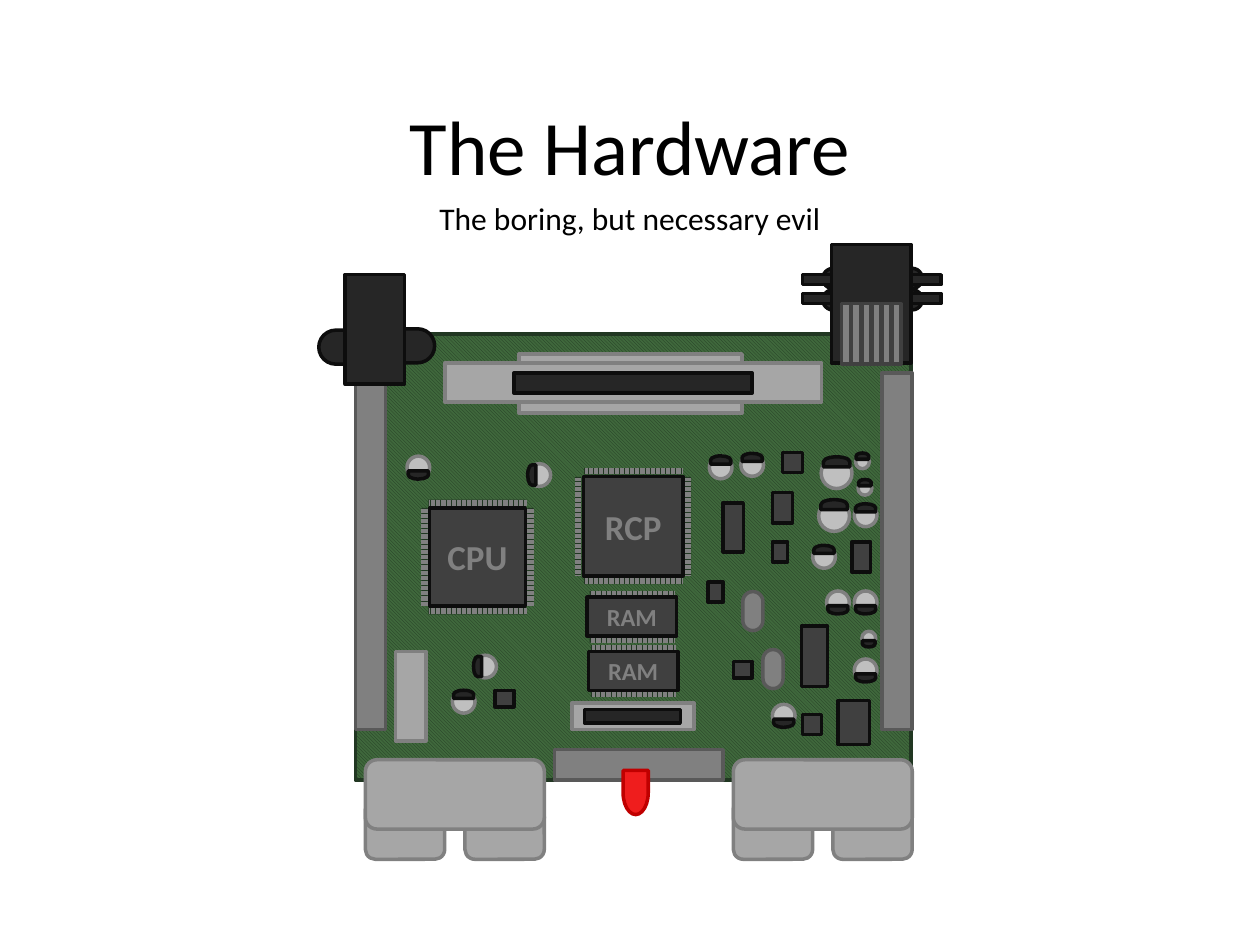
from dataclasses import dataclass
from math import cos, radians, sin
from typing import Any, NamedTuple

from pptx import Presentation
from pptx.dml.color import RGBColor
from pptx.enum.dml import MSO_PATTERN_TYPE as Pattern
from pptx.enum.shapes import MSO_AUTO_SHAPE_TYPE as Preset
from pptx.enum.text import MSO_ANCHOR as Anchor, MSO_AUTO_SIZE as AutoSize, PP_ALIGN as Align
from pptx.util import Inches, Pt

BLACK = RGBColor(0x00, 0x00, 0x00)
INK = RGBColor(0x0D, 0x0D, 0x0D)
COAL = RGBColor(0x26, 0x26, 0x26)
CHARCOAL = RGBColor(0x40, 0x40, 0x40)
SLATE = RGBColor(0x59, 0x59, 0x59)
GRAY = RGBColor(0x80, 0x80, 0x80)
SILVER = RGBColor(0xA6, 0xA6, 0xA6)
LIGHT = RGBColor(0xBF, 0xBF, 0xBF)
BOARD_GREEN = RGBColor(0x3F, 0x68, 0x3C)
DARK_GREEN = RGBColor(0x21, 0x37, 0x22)
LED_RED = RGBColor(0xEF, 0x1D, 0x1D)
LED_EDGE = RGBColor(0xC0, 0x00, 0x00)

COLUMNS, ROWS = 1000, 750
DOWN, LEFT, UP = 90, 180, 270


class Finish(NamedTuple):
    fill: RGBColor
    edge: RGBColor | None
    pattern: Any = None
    back: RGBColor | None = None


BOARD = Finish(DARK_GREEN, DARK_GREEN, Pattern.DARK_DOWNWARD_DIAGONAL, BOARD_GREEN)
SIDE_PINS = Finish(GRAY, None, Pattern.DARK_HORIZONTAL, DARK_GREEN)
END_PINS = Finish(GRAY, None, Pattern.DARK_VERTICAL, DARK_GREEN)
RAIL = Finish(GRAY, SLATE)
METAL = Finish(SILVER, GRAY)
PLASTIC = Finish(COAL, INK)
SILICON = Finish(CHARCOAL, INK)
CAN = Finish(LIGHT, GRAY)
FIN = Finish(GRAY, CHARCOAL)
LED = Finish(LED_RED, LED_EDGE)


class Box(NamedTuple):
    left: float
    top: float
    width: float
    height: float


class CapacitorSize(NamedTuple):
    can: float
    cap_depth: float
    cap_width: float
    offset: float


SMALL = CapacitorSize(11, 5, 10, 4.5)
MEDIUM = CapacitorSize(18, 6.5, 16, 6)
LARGE = CapacitorSize(24.5, 8, 21, 9)


@dataclass
class Capacitor:
    x: float
    y: float
    facing: int
    size: CapacitorSize = MEDIUM


@dataclass
class Chip:
    label: str
    body: Box
    points: int
    pin_length: float
    pin_depth: float
    gap: float
    four_sided: bool


CAPACITORS = [
    Capacitor(332, 371, DOWN), Capacitor(428, 377, LEFT),
    Capacitor(385, 529, LEFT), Capacitor(368, 557, UP),
    Capacitor(622, 568, DOWN), Capacitor(687, 532, DOWN),
    Capacitor(687, 478, DOWN), Capacitor(665, 478, DOWN),
    Capacitor(572, 371, UP), Capacitor(597, 369, UP),
    Capacitor(654, 442, UP), Capacitor(687, 409, UP),
    Capacitor(686.5, 387.5, UP, SMALL), Capacitor(684.5, 366.5, UP, SMALL),
    Capacitor(662, 409.5, UP, LARGE), Capacitor(664, 375.5, UP, LARGE),
    Capacitor(689.5, 506.5, DOWN, SMALL),
]
CHIPS = [
    Chip("RCP", Box(463, 378, 79, 79), 20, 78, 5, 4, True),
    Chip("CPU", Box(341, 403, 76, 78), 20, 78, 5, 4, True),
    Chip("RAM", Box(466, 474, 71, 31), 14, 67, 6, 2, False),
    Chip("RAM", Box(467, 517, 71, 31), 14, 67, 6, 2, False),
]
SMALL_PARTS = [
    Box(574, 399, 16, 39), Box(636, 497, 21, 48), Box(582, 525, 15, 13),
    Box(393, 548, 15, 13), Box(676, 430, 15, 24), Box(562, 462, 12, 16),
    Box(613, 430, 12, 16), Box(613, 391, 16, 24), Box(621, 359, 16, 16),
    Box(637, 567, 15, 16), Box(665, 556, 25, 35),
]

prs = Presentation()
prs.slide_width, prs.slide_height = Inches(10), Inches(7.5)
slide = prs.slides.add_slide(prs.slide_layouts[5])


def place(box: Box) -> list[int]:
    column, row = prs.slide_width / COLUMNS, prs.slide_height / ROWS
    return [round(length * unit) for length, unit in zip(box, (column, row, column, row))]


def apply(target: Any, values: dict[str, Any]) -> None:
    for name, value in values.items():
        setattr(target, name, value)


def write(holder: Any, text: str, points: int, color: RGBColor, bold: bool = False, **frame: Any) -> None:
    apply(holder.text_frame, {"word_wrap": True, **frame})
    paragraph = holder.text_frame.paragraphs[0]
    paragraph.alignment = Align.CENTER
    run = paragraph.add_run()
    run.text = text
    apply(run.font, {"name": "Calibri", "size": Pt(points), "bold": bold})
    run.font.color.rgb = color


def draw(box: Box, finish: Finish, preset: Any = Preset.RECTANGLE, turn: int = 0) -> Any:
    part = console.shapes.add_shape(preset, *place(box))
    part.shadow.inherit = False
    part.rotation = turn
    if finish.pattern is None:
        part.fill.solid()
    else:
        part.fill.patterned()
        part.fill.pattern = finish.pattern
        part.fill.back_color.rgb = finish.back
    part.fill.fore_color.rgb = finish.fill
    if finish.edge is None:
        part.line.fill.background()
    else:
        part.line.color.rgb = finish.edge
        part.line.width = Pt(2)
    return part


def centred(x: float, y: float, width: float, height: float) -> Box:
    return Box(x - width / 2, y - height / 2, width, height)


def draw_capacitor(part: Capacitor) -> None:
    size, angle = part.size, radians(part.facing)
    draw(centred(part.x, part.y, size.can, size.can), CAN, Preset.OVAL, part.facing)
    cap = centred(part.x + size.offset * cos(angle), part.y + size.offset * sin(angle),
                  size.cap_depth, size.cap_width)
    draw(cap, PLASTIC, Preset.FLOWCHART_DELAY, part.facing)


def draw_chip(chip: Chip) -> None:
    left, top, width, height = chip.body
    x, y = left + width / 2, top + height / 2
    for side in (-1, 1):
        if chip.four_sided:
            draw(centred(x + side * (width / 2 + chip.gap), y, chip.pin_depth, chip.pin_length), SIDE_PINS)
        draw(centred(x, y + side * (height / 2 + chip.gap), chip.pin_depth, chip.pin_length), END_PINS, turn=UP)
    write(draw(chip.body, SILICON), chip.label, chip.points, GRAY, True, vertical_anchor=Anchor.MIDDLE)


def draw_controller_ports(left: float) -> None:
    for box in (Box(left, 635, 63, 47), Box(left + 79, 635, 63, 47), Box(left, 603, 142, 55)):
        draw(box, METAL, Preset.ROUNDED_RECTANGLE)


title = slide.shapes.title
apply(title, dict(zip(("left", "top", "width", "height"), place(Box(50, 52, 900, 125)))))
write(title, "The Hardware", 44, BLACK, vertical_anchor=Anchor.MIDDLE)
subtitle = slide.shapes.add_textbox(*place(Box(0, 153, 1000, 40)))
write(subtitle, "The boring, but necessary evil", 18, BLACK, auto_size=AutoSize.SHAPE_TO_FIT_TEXT)

console = slide.shapes.add_group_shape()
draw(Box(282, 265, 441, 354), BOARD)
for rail_left in (282, 700):
    draw(Box(rail_left, 296, 24, 283), RAIL)
for socket in (Box(454, 558, 97, 21), Box(412, 281, 177, 47), Box(353, 288, 299, 31), Box(314, 517, 24, 71)):
    draw(socket, METAL)
for slot in (Box(408, 296, 189, 16), Box(464, 563, 76, 11)):
    draw(slot, PLASTIC)
for small_part in SMALL_PARTS:
    draw(small_part, SILICON)
for capacitor in CAPACITORS:
    draw_capacitor(capacitor)
for crystal in (Box(582, 477, 31, 16), Box(598, 523, 31, 16)):
    draw(crystal, RAIL, Preset.ROUNDED_RECTANGLE, DOWN).adjustments[0] = 0.5
for port_left in (290, 582):
    draw_controller_ports(port_left)

for knob, turn in ((Box(253, 262, 27, 27), LEFT), (Box(318, 261, 27, 27), 0)):
    draw(knob, PLASTIC, Preset.FLOWCHART_DELAY, turn)
draw(Box(274, 218, 47, 87), PLASTIC)
for knob_left, turn in ((653, LEFT), (716, 0)):
    for knob_top in (213, 230):
        draw(Box(knob_left, knob_top, 16, 16), PLASTIC, Preset.FLOWCHART_DELAY, turn)
for prong_top in (218, 233):
    draw(Box(637, prong_top, 110, 8), PLASTIC)
draw(Box(660, 194, 63, 94), PLASTIC)
for fin in range(6):
    draw(Box(668 + 8 * fin, 241, 7, 48), FIN)

draw(Box(440, 595, 134, 24), RAIL)
draw(Box(487, 619, 35, 20), LED, Preset.FLOWCHART_DELAY, DOWN)
for chip in CHIPS:
    draw_chip(chip)

prs.save("out.pptx")
